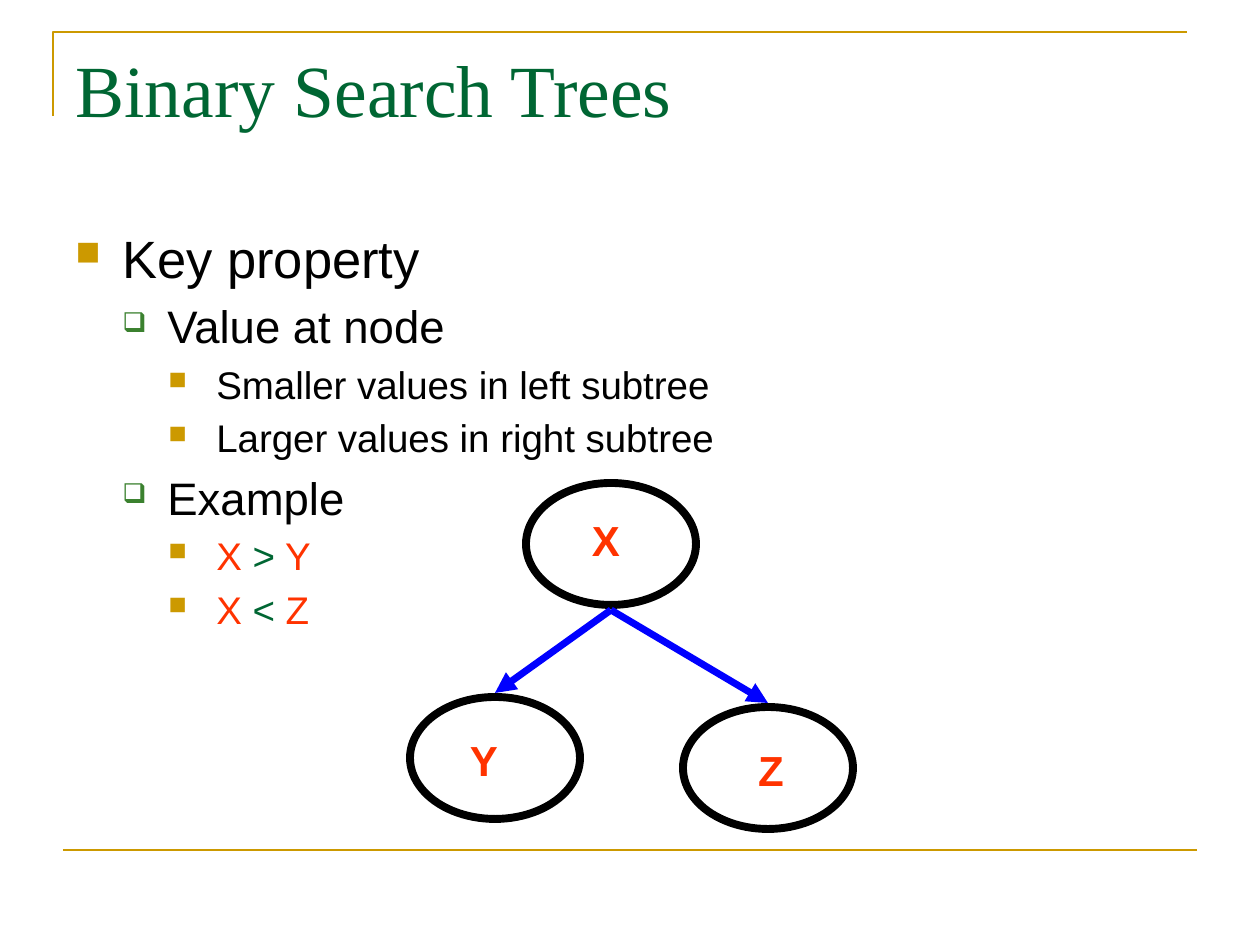
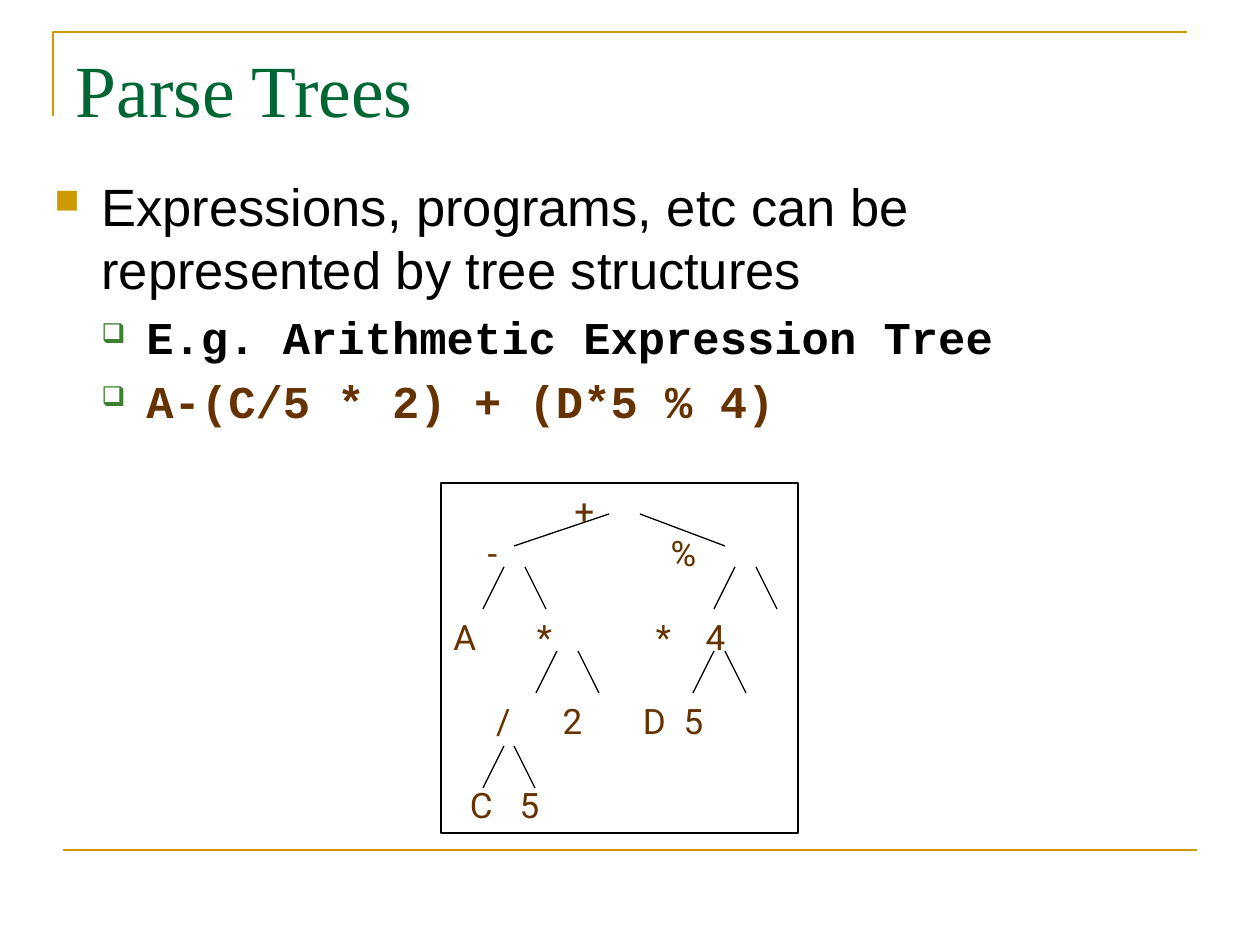
from pptx import Presentation
from pptx.dml.color import RGBColor
from pptx.enum.shapes import MSO_CONNECTOR, MSO_SHAPE
from pptx.enum.text import MSO_ANCHOR, MSO_AUTO_SIZE, PP_ALIGN
from pptx.oxml.ns import qn
from pptx.util import Pt
from lxml.etree import SubElement

PX = 914400 // 126

GOLD = RGBColor(0xCC, 0x99, 0x00)
GREEN = RGBColor(0x00, 0x66, 0x33)
LEAF = RGBColor(0x3B, 0x81, 0x2F)
RED = RGBColor(0xFF, 0x33, 0x00)
BLUE = RGBColor(0x00, 0x00, 0xFF)
BROWN = RGBColor(0x66, 0x33, 0x00)
BLACK = RGBColor(0x00, 0x00, 0x00)

SANS, SERIF, MONO, TREE_FONT = "Arial", "Times New Roman", "Courier New", "Roboto"

# Per outline level: text size, left margin, hanging indent, bullet, its colour and size
LEVELS = [
    (30, 47, 47, "■", GOLD, 65),
    (26, 92, 45, "❑", LEAF, 60),
    (22, 141, 48, "■", GOLD, 65),
]


def emu(*lengths):
    return [round(v * PX) for v in lengths]


def style(r, size, font, color, bold=False):
    r.font.size, r.font.name, r.font.bold = Pt(size), font, bold
    r.font.color.rgb = color


def outline(sp, color, width):
    sp.line.color.rgb = color
    sp.line.width = Pt(width)


def add_line(shapes, start, end, color, width, arrow=False):
    line = shapes.add_connector(MSO_CONNECTOR.STRAIGHT, *emu(*start, *end))
    outline(line, color, width)
    if arrow:
        SubElement(line.line._get_or_add_ln(), qn("a:tailEnd"), type="triangle")
    SubElement(line._element.spPr, qn("a:effectLst"))


def add_outlined(shapes, kind, box, width):
    sp = shapes.add_shape(kind, *emu(*box))
    sp.shadow.inherit = False
    sp.fill.background()
    outline(sp, BLACK, width)
    return sp


def add_frame(s):
    """Corner rule at the top left and the rule above the footer."""
    builder = s.shapes.build_freeform(53, 116, scale=PX)
    builder.add_line_segments([(53, 32), (1187, 32)], close=False)
    corner = builder.convert_to_shape()
    corner.shadow.inherit = False
    corner.fill.background()
    outline(corner, GOLD, 1.5)
    add_line(s.shapes, (63, 850), (1197, 850), GOLD, 1.5)


def add_slide(prs, title):
    s = prs.slides.add_slide(prs.slide_layouts[5])
    add_frame(s)
    sp = s.shapes.title
    sp.left, sp.top, sp.width, sp.height = emu(63, 38, 1134, 157)
    tf = sp.text_frame
    tf.text = title
    tf.auto_size, tf.vertical_anchor = MSO_AUTO_SIZE.NONE, MSO_ANCHOR.TOP
    p = tf.paragraphs[0]
    p.alignment = PP_ALIGN.LEFT
    style(p.runs[0], 42, SERIF, GREEN)
    return s


def add_bullet(p, margin, hang, char, color, percent):
    pPr = p._p.get_or_add_pPr()
    left, indent = emu(margin, -hang)
    pPr.set("marL", str(left))
    pPr.set("indent", str(indent))
    SubElement(SubElement(pPr, qn("a:buClr")), qn("a:srgbClr"), val=str(color))
    SubElement(pPr, qn("a:buSzPct"), val=str(percent * 1000))
    SubElement(pPr, qn("a:buChar"), char=char)


def add_outline(s, box, items, sub_font=SANS):
    """Bulleted text; each item is a level and its (text, colour) runs."""
    tf = s.shapes.add_textbox(*emu(*box)).text_frame
    tf.word_wrap = True
    for i, (level, parts) in enumerate(items):
        p = tf.add_paragraph() if i else tf.paragraphs[0]
        size, *bullet = LEVELS[level]
        p.level = level
        if i:
            p.space_before = Pt(size * 0.2)
        add_bullet(p, *bullet)
        font = sub_font if level else SANS
        for text, color in parts:
            r = p.add_run()
            r.text = text
            style(r, size, font, color, bold=font == MONO)


def add_node_tree(s, left, top):
    """Three ellipses, two arrows, then the labels over them."""
    w, h = 170, 122
    nodes = {"X": (116, 0), "Y": (0, 214), "Z": (273, 224)}
    labels = {"Y": (31, 245, 86), "X": (136, 25, 120), "Z": (293, 255, 136)}
    for x, y in nodes.values():
        add_outlined(s.shapes, MSO_SHAPE.OVAL, (left + x, top + y, w, h), 4.5)

    root_x, root_y = nodes["X"]
    start = (left + root_x + w / 2, top + root_y + h + 5)
    for child in "ZY":
        x, y = nodes[child]
        add_line(s.shapes, start, (left + x + w / 2, top + y - 4), BLUE, 4, arrow=True)

    for name, (x, y, width) in labels.items():
        tf = s.shapes.add_textbox(*emu(left + x, top + y, width, 63)).text_frame
        tf.word_wrap = True
        tf.text = name
        p = tf.paragraphs[0]
        p.alignment = PP_ALIGN.CENTER
        style(p.runs[0], 24, SANS, RED, bold=True)


def add_expression_tree(s, left, top, width, height):
    """Framed symbols on centred tab stops, joined by branches."""
    shapes = s.shapes.add_group_shape().shapes
    frame = add_outlined(shapes, MSO_SHAPE.RECTANGLE, (left, top, width, height), 0.75)
    tf = frame.text_frame
    tf.word_wrap, tf.vertical_anchor = True, MSO_ANCHOR.TOP

    # Symbols and their centres, measured from the text edge
    rows = [
        {131: "+"},
        {39: "-", 230: "%"},
        {11: "A", 91: "*", 210: "*", 262: "4"},
        {50: "/", 119: "2", 201: "D", 240: "5"},
        {28: "C", 76: "5"},
    ]
    for i, row in enumerate(rows):
        p = tf.add_paragraph() if i else tf.paragraphs[0]
        p.text = "".join("\t" + symbol for symbol in row.values())
        p.alignment = PP_ALIGN.LEFT
        if i > 1:
            p.space_before = Pt(24)
        tabs = SubElement(p._p.get_or_add_pPr(), qn("a:tabLst"))
        for x in row:
            SubElement(tabs, qn("a:tab"), pos=str(x * PX), algn="ctr")
        style(p.runs[0], 20, TREE_FONT, BROWN)

    # Root branches, then pairs that spread 21 px over a drop of 42 px
    branches = [(168, 31, 73, 63), (199, 31, 284, 63)]
    pairs = [(63, 84, 84), (294, 315, 84), (116, 137, 168), (273, 284, 168), (63, 73, 263)]
    for x1, x2, y in pairs:
        branches += [(x1, y, x1 - 21, y + 42), (x2, y, x2 + 21, y + 42)]
    for x1, y1, x2, y2 in branches:
        add_line(shapes, (left + x1, top + y1), (left + x2, top + y2), BLACK, 0.75)


prs = Presentation()
prs.slide_width, prs.slide_height = emu(1260, 945)

# Binary search trees
s = add_slide(prs, "Binary Search Trees")
add_outline(s, (63, 220, 1134, 624), [
    (0, [("Key property", BLACK)]),
    (1, [("Value at node", BLACK)]),
    (2, [("Smaller values in left subtree", BLACK)]),
    (2, [("Larger values in right subtree", BLACK)]),
    (1, [("Example", BLACK)]),
    (2, [("X ", RED), (">", GREEN), (" Y", RED)]),
    (2, [("X ", RED), ("<", GREEN), (" Z", RED)]),
])
add_node_tree(s, 410, 483)

# Parse trees
s = add_slide(prs, "Parse Trees")
add_outline(s, (42, 168, 1134, 624), [
    (0, [("Expressions, programs, etc can be represented by tree structures", BLACK)]),
    (1, [("E.g. Arithmetic Expression Tree", BLACK)]),
    (1, [("A-(C/5 * 2) + (D*5 % 4)", BROWN)]),
], sub_font=MONO)
add_expression_tree(s, 441, 483, 357, 350)

prs.save("out.pptx")
